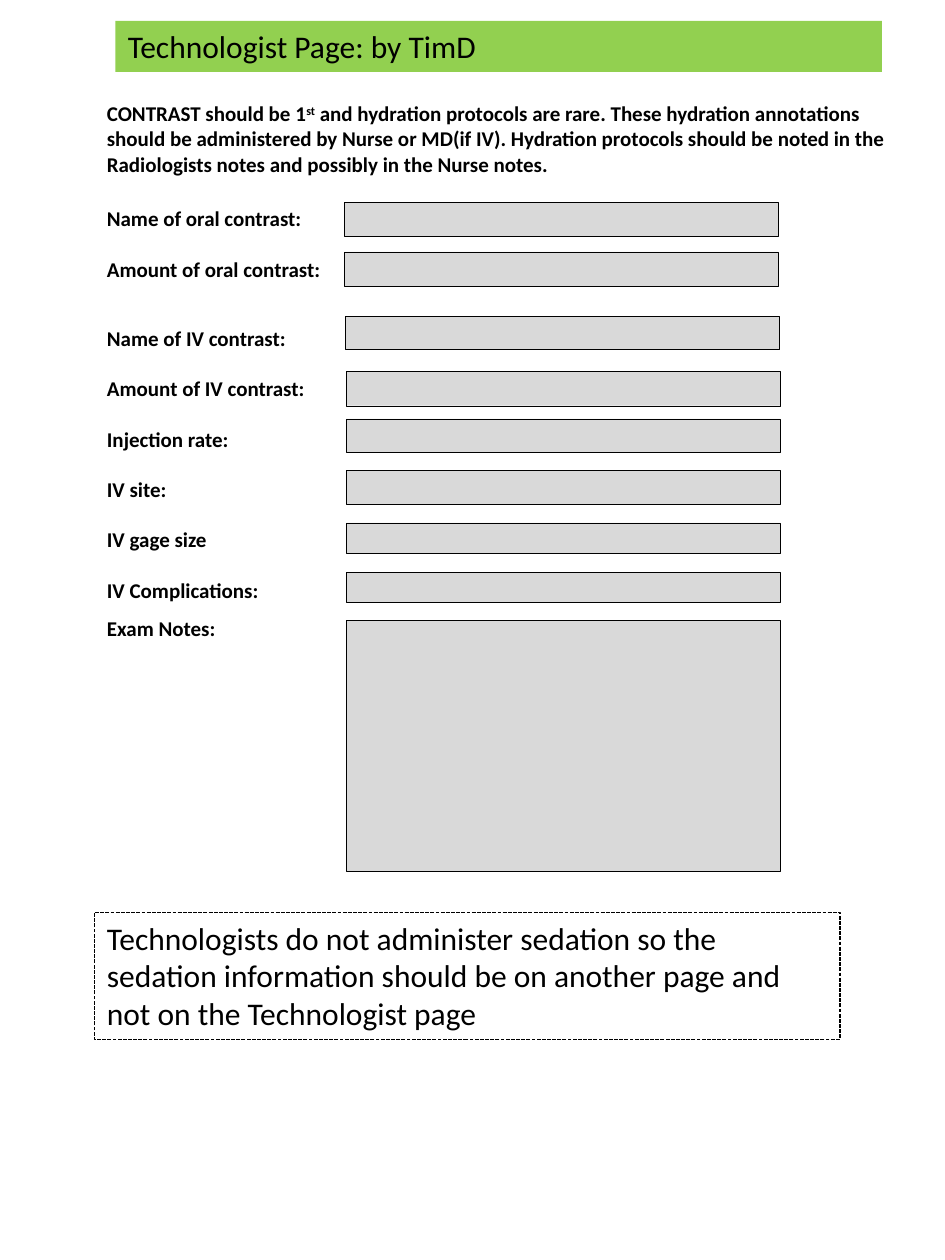
from collections import namedtuple

from pptx import Presentation
from pptx.dml.color import RGBColor
from pptx.enum.dml import MSO_LINE as Dash
from pptx.enum.shapes import MSO_SHAPE as Shape
from pptx.enum.text import MSO_ANCHOR as Anchor, MSO_AUTO_SIZE as AutoSize, PP_ALIGN as Align
from pptx.util import Inches, Pt

# The page is a grid of 90 columns by 120 rows, twelve to the inch.
Box = namedtuple("Box", "col row cols rows")
FONT = "Calibri"
BLACK, GREEN, GREY = "000000", "92D050", "D9D9D9"
LABEL_GAP = 14.4

INTRO = [
    ("CONTRAST should be 1", False),
    ("st", True),
    (" and hydration protocols are rare. These hydration annotations should be "
     "administered by Nurse or MD(if IV). Hydration protocols should be noted in "
     "the Radiologists notes and possibly in the Nurse notes.", False),
]
ORAL_LABELS = ["Name of oral contrast:", "Amount of oral contrast:"]
IV_LABELS = ["Name of IV contrast:", "Amount of IV contrast:", "Injection rate:",
             "IV site:", "IV gage size", "IV Complications:"]
SEDATION = ("Technologists do not administer sedation so the sedation information "
            "should be on another page and not on the Technologist page")


def color(value):
    return RGBColor.from_string(value)


def place(box):
    return [Inches(units / 12) for units in box]


def add_span(para, text, size, bold=False, raised=False):
    span = para.add_run()
    span.text = text
    span.font.name = FONT
    span.font.size = Pt(size)
    span.font.bold = bold
    span.font.color.rgb = color(BLACK)
    if raised:
        span.font._element.set("baseline", "30000")


def add_rect(page, box, fill=None, line=None, width=0.25):
    rect = page.shapes.add_shape(Shape.RECTANGLE, *place(box))
    rect.shadow.inherit = False
    if fill:
        rect.fill.solid()
        rect.fill.fore_color.rgb = color(fill)
    else:
        rect.fill.background()
    if line:
        rect.line.color.rgb = color(line)
        rect.line.width = Pt(width)
    else:
        rect.line.fill.background()
    return rect


def add_banner(page, box, text, **style):
    """A rectangle with large text at its top left."""
    rect = add_rect(page, box, **style)
    frame = rect.text_frame
    frame.word_wrap = True
    frame.vertical_anchor = Anchor.TOP
    para = frame.paragraphs[0]
    para.alignment = Align.LEFT
    add_span(para, text, 18)
    return rect


def add_text(page, box, paragraphs, wrap=True):
    """Bold text; each paragraph is a list of (text, raised) spans."""
    frame = page.shapes.add_textbox(*place(box)).text_frame
    frame.word_wrap = wrap
    frame.auto_size = AutoSize.SHAPE_TO_FIT_TEXT
    for index, spans in enumerate(paragraphs):
        para = frame.add_paragraph() if index else frame.paragraphs[0]
        if index:
            para.space_before = Pt(LABEL_GAP)
        for text, raised in spans:
            add_span(para, text, 12, bold=True, raised=raised)


def add_form_section(page, box, labels, label_cols, fields, wrap=False):
    """Labels on the left; fields are (column, row, rows) inside the box."""
    label_box = Box(box.col, box.row, label_cols, box.rows)
    add_text(page, label_box, [[(label, False)] for label in labels], wrap)
    for col, row, rows in fields:
        add_rect(page, Box(box.col + col, box.row + row, 41.3, rows), GREY, BLACK)


def main():
    deck = Presentation()
    deck.slide_width, deck.slide_height = Inches(7.5), Inches(10)
    page = deck.slides.add_slide(deck.slide_layouts[6])

    # Title and introduction
    add_banner(page, Box(11, 2, 73, 4.85), "Technologist Page: by TimD", fill=GREEN)
    add_text(page, Box(9, 9, 78, 8.5), [INTRO])

    # Oral contrast, IV contrast and exam notes
    add_form_section(page, Box(9, 19, 65, 8.5), ORAL_LABELS, 23,
                     [(23.8, 0.3, 3.25), (23.8, 5, 3.25)])
    add_form_section(page, Box(9, 30.4, 65, 30.2), IV_LABELS, 21.5,
                     [(23.9, -0.3, 3.2), (24, 5, 3.25), (24, 9.5, 3.2),
                      (24, 14.4, 3.2), (24, 19.4, 2.9), (24, 24.1, 2.9)])
    add_form_section(page, Box(9, 58, 65, 25), ["Exam Notes:"], 20,
                     [(24, 1.1, 23.9)], wrap=True)

    # Sedation note
    note = add_banner(page, Box(9, 86.9, 71, 12.1), SEDATION, line=BLACK, width=0.75)
    note.line.dash_style = Dash.SQUARE_DOT

    deck.save("out.pptx")


if __name__ == "__main__":
    main()
